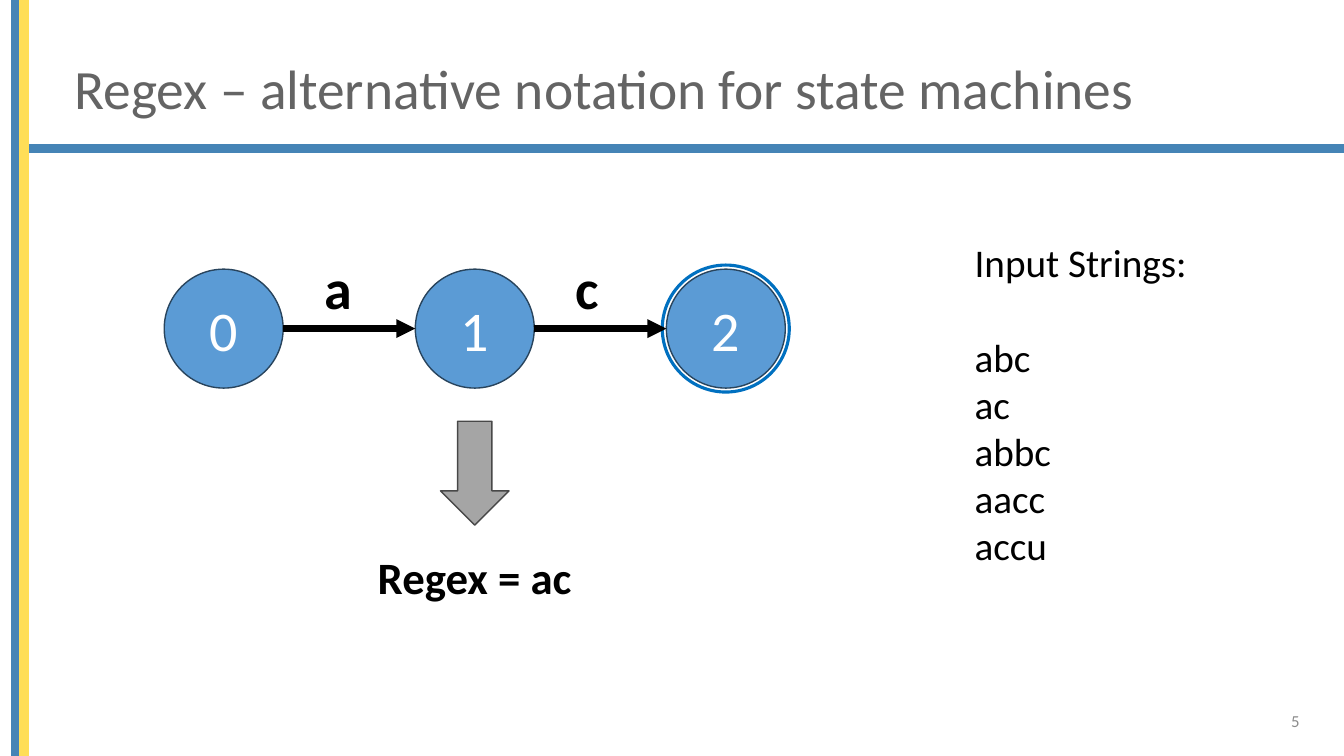
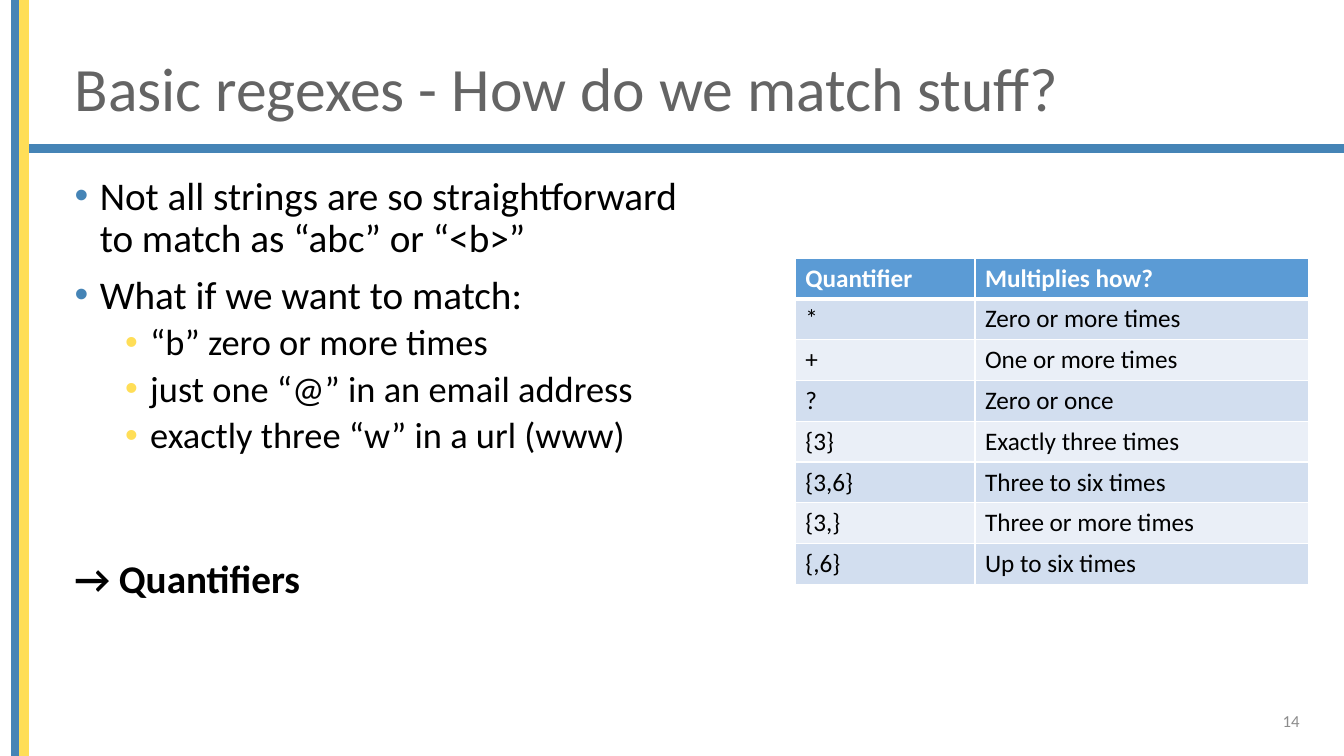
import pptx
import pptx.dml.color
import pptx.enum.shapes
import pptx.enum.text
import pptx.oxml
import pptx.oxml.ns
import pptx.util

SHAPES = pptx.enum.shapes.MSO_SHAPE
ALIGN = pptx.enum.text.PP_ALIGN
ANCHOR = pptx.enum.text.MSO_ANCHOR

SLIDE_WIDTH = pptx.util.Inches(13.333)
SLIDE_HEIGHT = pptx.util.Inches(7.5)
ASPECT = SLIDE_WIDTH / SLIDE_HEIGHT

FONT = "Calibri"
BAND_BLUE, BAND_YELLOW = "4584B6", "FFDE57"
TITLE_GREY, NUMBER_GREY = "646464", "8C8C8C"
BLACK, WHITE = "000000", "FFFFFF"
STATE_FILL, STATE_LINE, RING_LINE = "5B9BD5", "28445D", "0070C0"
ARROW_FILL, ARROW_LINE = "A5A5A5", "484848"
ROW_FILLS = ("EAEFF7", "D2DEEF")

BULLETS = (  # colour, left margin in inches, size, space before
    (BAND_BLUE, 0.25, 28, 10),
    (BAND_YELLOW, 0.75, 26, 5),
)

STATE_LEFT, STATE_TOP, STATE_SIZE, STATE_PITCH = 12.22, 35.6, 8.85, 18.68
STATE_HEIGHT = STATE_SIZE * ASPECT

QUANTIFIERS = (
    ("Quantifier", "Multiplies how?"),
    ("*", "Zero or more times"),
    ("+", "One or more times"),
    ("?", "Zero or once"),
    ("{3}", "Exactly three times"),
    ("{3,6}", "Three to six times"),
    ("{3,}", "Three or more times"),
    ("{,6}", "Up to six times"),
)


def color(value):
    return pptx.dml.color.RGBColor.from_string(value)


def box(left, top, width, height):
    """Turn percentages of the slide's width and height into lengths."""
    return (
        int(SLIDE_WIDTH * left / 100),
        int(SLIDE_HEIGHT * top / 100),
        int(SLIDE_WIDTH * width / 100),
        int(SLIDE_HEIGHT * height / 100),
    )


def move(shape, place):
    shape.left, shape.top, shape.width, shape.height = place


def format_runs(paragraph, size, value, bold=False):
    for run in paragraph.runs:
        run.font.name = FONT
        run.font.size = pptx.util.Pt(size)
        run.font.bold = bold
        run.font.color.rgb = color(value)


def add_text(slide, place, lines, size, value=BLACK, bold=False,
             align=ALIGN.LEFT, anchor=ANCHOR.TOP):
    frame = slide.shapes.add_textbox(*place).text_frame
    frame.word_wrap = True
    frame.vertical_anchor = anchor
    frame.text = "\n".join(lines)
    for paragraph in frame.paragraphs:
        paragraph.alignment = align
        format_runs(paragraph, size, value, bold)
    return frame


def add_figure(slide, kind, place, fill, line, line_width=1):
    shape = slide.shapes.add_shape(kind, *place)
    shape.shadow.inherit = False
    if fill:
        shape.fill.solid()
        shape.fill.fore_color.rgb = color(fill)
    else:
        shape.fill.background()
    shape.line.color.rgb = color(line)
    shape.line.width = pptx.util.Pt(line_width)
    return shape


def add_bands(slide):
    bands = (
        (BAND_BLUE, (1.39, 19.13, 98.61, 1.07)),
        (BAND_BLUE, (0.9, 0, 0.6, 100)),
        (BAND_YELLOW, (1.5, 0, 0.6, 100)),
    )
    for value, place in bands:
        add_figure(slide, SHAPES.RECTANGLE, box(*place), value, value)


def add_slide(presentation, layout_index, title, title_size, number):
    """Add a slide with the shared bands, title and page number."""
    layout = presentation.slide_layouts[layout_index]
    slide = presentation.slides.add_slide(layout)
    add_bands(slide)
    move(slide.shapes.title, box(4.8, 5.33, 88.35, 13.47))
    frame = slide.shapes.title.text_frame
    frame.text = title
    frame.auto_size = pptx.enum.text.MSO_AUTO_SIZE.NONE
    frame.vertical_anchor = ANCHOR.MIDDLE
    paragraph = frame.paragraphs[0]
    paragraph.alignment = ALIGN.LEFT
    paragraph.line_spacing = 0.9
    format_runs(paragraph, title_size, TITLE_GREY)
    add_text(slide, box(74.93, 92.67, 22.5, 5.33), [number], 12, NUMBER_GREY,
             align=ALIGN.RIGHT, anchor=ANCHOR.MIDDLE)
    return slide


def add_state(slide, left, label):
    place = box(left, STATE_TOP, STATE_SIZE, STATE_HEIGHT)
    state = add_figure(slide, SHAPES.OVAL, place, STATE_FILL, STATE_LINE)
    state.text_frame.text = label
    state.text_frame.vertical_anchor = ANCHOR.MIDDLE
    paragraph = state.text_frame.paragraphs[0]
    paragraph.alignment = ALIGN.CENTER
    format_runs(paragraph, 40, WHITE)


def add_final_ring(slide, left):
    margin = 0.3
    place = box(left - margin, STATE_TOP - margin * ASPECT,
                STATE_SIZE + 2 * margin, STATE_HEIGHT + 2 * margin * ASPECT)
    add_figure(slide, SHAPES.OVAL, place, None, RING_LINE, 2.25)


def add_transition(slide, left, label):
    """Draw a labelled arrow from the state at left to the next one."""
    start = left + STATE_SIZE
    x, y, length, _ = box(start, STATE_TOP + STATE_HEIGHT / 2,
                          STATE_PITCH - STATE_SIZE, 0)
    arrow = slide.shapes.add_connector(
        pptx.enum.shapes.MSO_CONNECTOR.STRAIGHT, x, y, x + length, y)
    arrow.line.color.rgb = color(BLACK)
    arrow.line.width = pptx.util.Pt(4.5)
    add_child(arrow.line._get_or_add_ln(), "a:tailEnd", type="triangle")
    add_child(arrow.element.spPr, "a:effectLst")
    add_text(slide, box(start + 2.33, 32.93, 6.45, 10.27), [label], 40,
             bold=True)


def add_child(parent, tag, **attributes):
    child = pptx.oxml.parse_xml(f"<{tag} {pptx.oxml.ns.nsdecls('a')}/>")
    for name, value in attributes.items():
        child.set(name, value)
    parent.append(child)
    return child


def set_bullet(paragraph, margin, value=None):
    """Give the paragraph a bullet of this colour, or none without one."""
    properties = paragraph._p.get_or_add_pPr()
    indent = pptx.util.Inches(0.25) if value else 0
    properties.set("marL", str(pptx.util.Inches(margin)))
    properties.set("indent", str(-indent))
    if value:
        add_child(add_child(properties, "a:buClr"), "a:srgbClr", val=value)
        add_child(properties, "a:buFont", typeface="Arial")
        add_child(properties, "a:buChar", char="•")
    else:
        add_child(properties, "a:buNone")


def fill_body(slide, items, conclusion):
    """Fill the body with (level, text) bullets and a bold closing line."""
    body = slide.placeholders[1]
    move(body, box(4.8, 22.67, 48.9, 67.47))
    frame = body.text_frame
    frame.text = "\n".join([text for _, text in items] + [conclusion])
    frame.auto_size = pptx.enum.text.MSO_AUTO_SIZE.NONE
    *bullets, closing = frame.paragraphs
    for index, (paragraph, (level, _)) in enumerate(zip(bullets, items)):
        value, margin, size, space = BULLETS[level]
        paragraph.level = level
        set_bullet(paragraph, margin, value)
        paragraph.space_before = pptx.util.Pt(space if index else 0)
        format_runs(paragraph, size, BLACK)
    set_bullet(closing, 0)
    closing.space_before = pptx.util.Pt(74)
    format_runs(closing, 28, BLACK, bold=True)
    for paragraph in frame.paragraphs:
        paragraph.line_spacing = 0.9


def set_borders(cell, bottom_width):
    properties = cell._tc.get_or_add_tcPr()
    widths = {"a:lnL": 1, "a:lnR": 1, "a:lnT": 1, "a:lnB": bottom_width}
    for tag, width in widths.items():
        line = add_child(properties, tag, w=str(pptx.util.Pt(width)))
        add_child(add_child(line, "a:solidFill"), "a:srgbClr", val=WHITE)


def add_table(slide, rows, place, column_shares):
    table = slide.shapes.add_table(
        len(rows), len(column_shares), *place).table
    for column, share in zip(table.columns, column_shares):
        column.width = int(place[2] * share)
    for row_index, texts in enumerate(rows):
        header = row_index == 0
        for column_index, text in enumerate(texts):
            cell = table.cell(row_index, column_index)
            cell.text = text
            set_borders(cell, 3 if header else 1)
            cell.fill.solid()
            cell.fill.fore_color.rgb = color(
                STATE_FILL if header else ROW_FILLS[row_index % 2])
            format_runs(cell.text_frame.paragraphs[0], 18,
                        WHITE if header else BLACK, bold=header)


def build_state_machine(presentation):
    slide = add_slide(presentation, 5,
                      "Regex – alternative notation for state machines",
                      39.6, "5")
    lefts = [STATE_LEFT + index * STATE_PITCH for index in range(3)]
    for index, left in enumerate(lefts):
        add_state(slide, left, str(index))
    add_final_ring(slide, lefts[-1])
    for left, label in zip(lefts, "ac"):
        add_transition(slide, left, label)

    strings = add_text(
        slide, box(71.78, 30.93, 19, 45.33),
        ["Input Strings:", "abc", "ac", "abbc", "aacc", "accu"], 28)
    strings.paragraphs[1].space_before = pptx.util.Pt(34)

    center = lefts[1] + STATE_SIZE / 2
    arrow_width, regex_width = 5.1, 18
    add_figure(slide, SHAPES.DOWN_ARROW,
               box(center - arrow_width / 2, 55.73, arrow_width, 13.73),
               ARROW_FILL, ARROW_LINE)
    add_text(slide, box(center - regex_width / 2, 72, regex_width, 8.53),
             ["Regex = ac"], 32, bold=True, align=ALIGN.CENTER)


def build_quantifiers(presentation):
    slide = add_slide(presentation, 1,
                      "Basic regexes - How do we match stuff?", 44, "14")
    fill_body(slide, (
        (0, "Not all strings are so straightforward to match as "
            "“abc” or “<b>”"),
        (0, "What if we want to match:"),
        (1, "“b” zero or more times"),
        (1, "just one “@” in an email address"),
        (1, "exactly three “w” in a url (www)"),
    ), "→ Quantifiers")
    add_table(slide, QUANTIFIERS, box(59.18, 34.13, 38.18, 43.2),
              (0.35, 0.65))


def main():
    presentation = pptx.Presentation()
    presentation.slide_width = SLIDE_WIDTH
    presentation.slide_height = SLIDE_HEIGHT
    build_state_machine(presentation)
    build_quantifiers(presentation)
    presentation.save("out.pptx")


if __name__ == "__main__":
    main()
